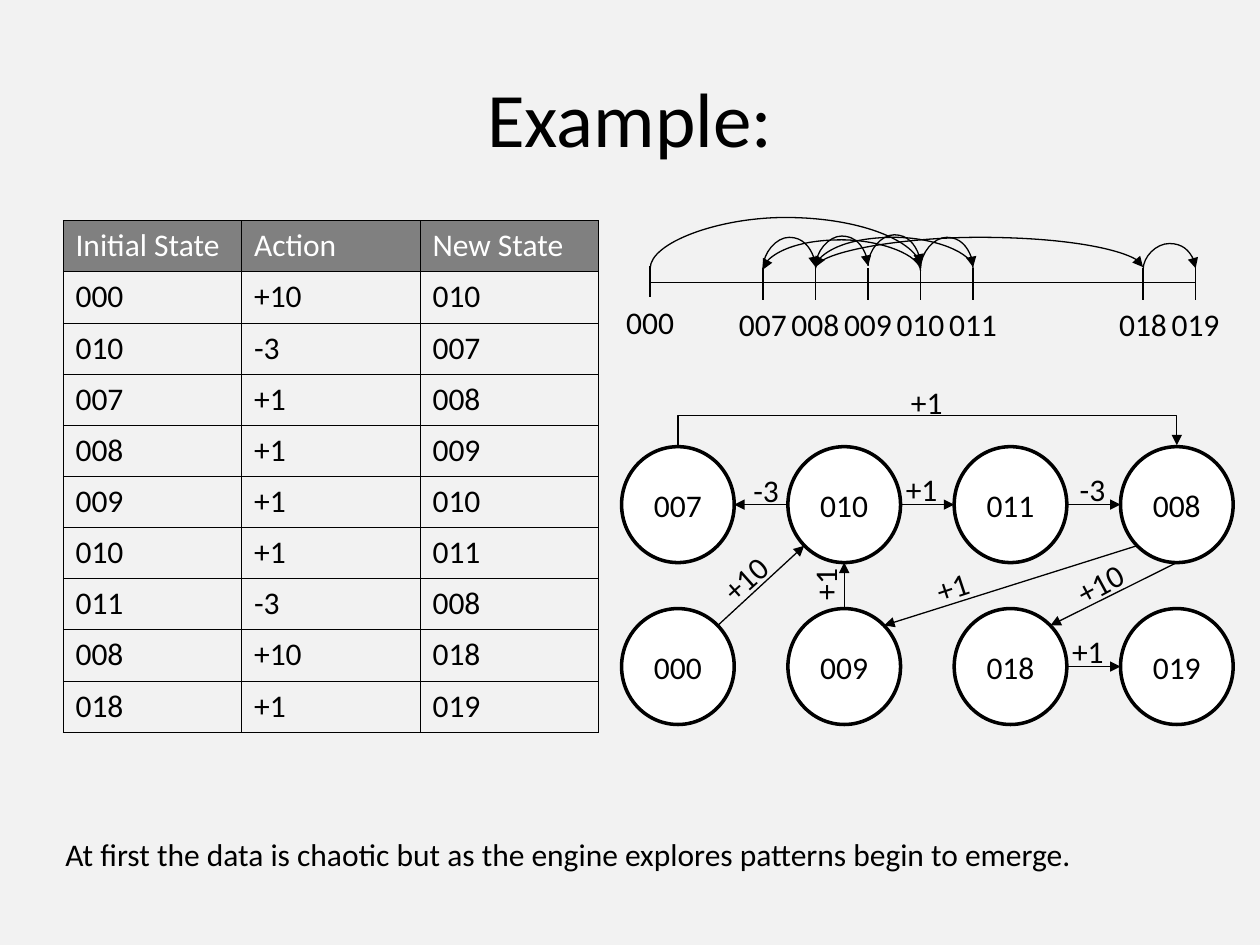
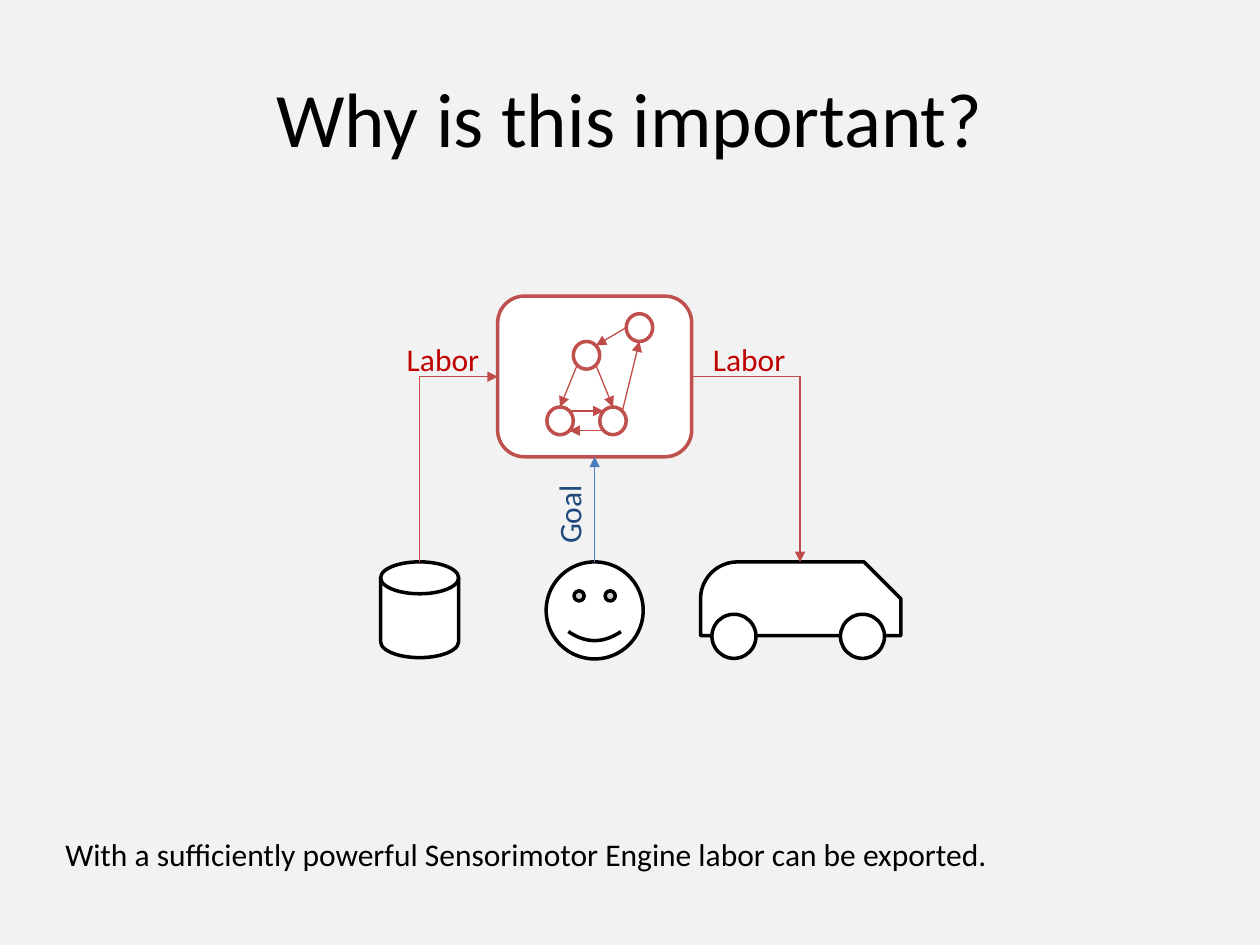
"""Build two slides on how a sensorimotor engine explores states."""
from dataclasses import dataclass
from typing import NamedTuple

from lxml.etree import SubElement
from pptx import Presentation
from pptx.dml.color import RGBColor
from pptx.enum.shapes import MSO_CONNECTOR as Link, MSO_SHAPE as Preset
from pptx.enum.text import MSO_ANCHOR as Anchor, PP_ALIGN as Align
from pptx.oxml.ns import qn
from pptx.shapes.autoshape import Shape
from pptx.shapes.connector import Connector
from pptx.slide import Slide
from pptx.table import _Cell as Cell
from pptx.text.text import TextFrame
from pptx.util import Emu, Inches, Pt

SLIDE_WIDTH, SLIDE_HEIGHT = Inches(10), Inches(7.5)
COLUMNS, ROWS = 100, 75
FONT = "Calibri"
COLORS = {
    "background": "F2F2F2", "ink": "000000", "paper": "FFFFFF", "header": "808080",
    "engine": "C0504D", "labor line": "BF4C48", "labor": "C00000",
    "goal line": "4B7EBC", "goal": "1F497D",
}
HALF_SQRT = 0.71
SIDES = {
    "N": (0, -1), "S": (0, 1), "E": (1, 0), "W": (-1, 0),
    "NE": (HALF_SQRT, -HALF_SQRT), "NW": (-HALF_SQRT, -HALF_SQRT),
    "SE": (HALF_SQRT, HALF_SQRT), "SW": (-HALF_SQRT, HALF_SQRT),
}
ARCH_DEPTH = 0.1


class Point(NamedTuple):
    """A place counted in grid columns and rows."""
    column: float
    row: float


class Box(NamedTuple):
    """An area counted in grid columns and rows."""
    left: float
    top: float
    width: float
    height: float

    def emu(self) -> tuple[Emu, Emu, Emu, Emu]:
        """Return the area as slide lengths."""
        return across(self.left), down(self.top), across(self.width), down(self.height)


class Step(NamedTuple):
    """One explored move, with the level and rise of its arc on the number line."""
    initial: str
    action: str
    new: str
    level: float = 21.3
    rise: float = 2.5


class Caption(NamedTuple):
    """A short text with its place and turn."""
    words: str
    place: Box
    turn: float = 0
    align: Align = Align.LEFT
    color: str = "ink"


@dataclass(frozen=True)
class Network:
    """Round nodes joined by arrows that run from side to side."""
    centres: dict[str, Point]
    radii: Point
    preset: Preset
    outline: str
    arrow_color: str
    arrows: tuple[tuple[str, str, str, str], ...]

    def site(self, node: str, side: str) -> Point:
        """Return the point on the rim of a node."""
        centre, (dx, dy) = self.centres[node], SIDES[side]
        return Point(centre.column + dx * self.radii.column, centre.row + dy * self.radii.row)


STEPS = (
    Step("000", "+10", "010", rise=4.1), Step("010", "-3", "007", level=21.5),
    Step("007", "+1", "008"), Step("008", "+1", "009", level=21.2),
    Step("009", "+1", "010", level=21.1), Step("010", "+1", "011"),
    Step("011", "-3", "008"), Step("008", "+10", "018"),
    Step("018", "+1", "019", level=21.4, rise=2.1),
)
NUMBER_LINE = {
    "000": 51.6,
    **{f"{7 + i:03}": 60.55 + 4.17 * i for i in range(5)},
    **{f"{18 + i:03}": 90.72 + 4.17 * i for i in range(2)},
}
STATE_ROWS = (("007", "010", "011", "008"), ("000", "009", "018", "019"))
STATES = Network(
    {state: Point(53.8 + 13.2 * c, 40.05 + 12.85 * r)
     for r, states in enumerate(STATE_ROWS) for c, state in enumerate(states)},
    Point(4.47, 4.6), Preset.OVAL, "ink", "ink",
    (("000", "NE", "010", "SW"), ("010", "W", "007", "E"), ("018", "E", "019", "W"),
     ("008", "SW", "009", "NE"), ("010", "E", "011", "W"), ("011", "E", "008", "W"),
     ("008", "S", "018", "NE"), ("009", "N", "010", "S")),
)
ACTIONS = tuple(
    Caption(words, Box(left, top, 6.1, 4), turn, align)
    for words, left, top, turn, align in (
        ("+10", 56.2, 43.8, 318.1, Align.LEFT), ("-3", 58.8, 36.9, 0, Align.LEFT),
        ("-3", 84.7, 36.8, 0, Align.LEFT), ("+1", 70.9, 36.8, 0, Align.LEFT),
        ("+1", 84.1, 49.7, 0, Align.LEFT), ("+1", 70.5, 29.9, 0, Align.CENTER),
        ("+1", 62.4, 43.6, 270, Align.LEFT), ("+1", 73.3, 44.3, 341.6, Align.LEFT),
        ("+10", 84.4, 44.2, 331.6, Align.LEFT),
    )
)
THOUGHTS = Network(
    {"top": Point(50.75, 26), "upper": Point(46.55, 28.2),
     "left": Point(44.45, 33.4), "right": Point(48.65, 33.4)},
    Point(1.05, 1.1), Preset.FLOWCHART_CONNECTOR, "engine", "labor line",
    (("upper", "SE", "right", "N"), ("upper", "SW", "left", "N"),
     ("left", "NE", "right", "NW"), ("right", "SW", "left", "SE"),
     ("right", "NE", "top", "S"), ("top", "W", "upper", "NE")),
)


def across(columns: float) -> Emu:
    """Turn grid columns into a length."""
    return Emu(round(SLIDE_WIDTH * columns / COLUMNS))


def down(rows: float) -> Emu:
    """Turn grid rows into a length."""
    return Emu(round(SLIDE_HEIGHT * rows / ROWS))


def rgb(name: str) -> RGBColor:
    """Look up a named colour."""
    return RGBColor.from_string(COLORS[name])


def write(frame: TextFrame, words: str, size: float = 18, color: str = "ink",
          align: Align = Align.LEFT) -> None:
    """Put one formatted run in the first paragraph."""
    paragraph = frame.paragraphs[0]
    paragraph.alignment = align
    run = paragraph.add_run()
    run.text = words
    run.font.name, run.font.size, run.font.bold = FONT, Pt(size), False
    run.font.color.rgb = rgb(color)


def add_caption(slide: Slide, caption: Caption) -> None:
    """Place a caption in a text box."""
    box = slide.shapes.add_textbox(*caption.place.emu())
    box.rotation = caption.turn
    box.text_frame.word_wrap = True
    write(box.text_frame, caption.words, color=caption.color, align=caption.align)


def add_figure(slide: Slide, preset: Preset, place: Box, outline: str = "ink",
               adjustments: tuple[float, ...] = ()) -> Shape:
    """Draw a white shape with a thick outline."""
    figure = slide.shapes.add_shape(preset, *place.emu())
    figure.shadow.inherit = False
    figure.fill.solid()
    figure.fill.fore_color.rgb = rgb("paper")
    figure.line.color.rgb = rgb(outline)
    figure.line.width = Pt(2)
    for index, value in enumerate(adjustments):
        figure.adjustments[index] = value
    return figure


def add_line(slide: Slide, start: Point, end: Point, color: str = "ink",
             arrow: bool = True, kind: Link = Link.STRAIGHT) -> Connector:
    """Draw a thin connector, by default with an arrowhead at its end."""
    line = slide.shapes.add_connector(
        kind, across(start.column), down(start.row), across(end.column), down(end.row))
    line.line.color.rgb = rgb(color)
    line.line.width = Pt(0.75)
    properties = line.element.spPr
    if arrow:
        SubElement(properties.find(qn("a:ln")), qn("a:tailEnd"), type="triangle")
    SubElement(properties, qn("a:effectLst"))
    return line


def add_turned(slide: Slide, start: Point, end: Point, depth: float, breadth: float,
               kind: Link, color: str = "ink") -> Connector:
    """Draw a connector that leaves its start upwards, by turning its frame."""
    rightward = end.column > start.column
    middle = Point((start.column + end.column) / 2, start.row - depth / 2)
    corner = Point(middle.column - depth / 2, middle.row - breadth / 2)
    opposite = Point(corner.column + depth, corner.row + breadth)
    line = add_line(slide, corner, opposite, color, kind=kind)
    frame = line.element.spPr.find(qn("a:xfrm"))
    frame.set("rot", str((90 if rightward else 270) * 60000))
    frame.set("flipV", "1")
    if rightward:
        frame.set("flipH", "1")
    return line


def add_arch(slide: Slide, start: Point, end: Point, rise: float, kind: Link) -> None:
    """Join two points on one level by a connector that rises above them."""
    breadth = abs(end.column - start.column)
    line = add_turned(slide, start, end, ARCH_DEPTH, breadth, kind)
    guides = line.element.spPr.find(qn("a:prstGeom")).find(qn("a:avLst"))
    bend = round(rise / ARCH_DEPTH * 100000)
    SubElement(guides, qn("a:gd"), name="adj1", fmla=f"val {bend}")


def use_corner(line: Connector) -> None:
    """Give an elbow connector a single corner."""
    line.element.spPr.find(qn("a:prstGeom")).set("prst", "bentConnector2")


def add_network(slide: Slide, network: Network, labelled: bool) -> None:
    """Draw the nodes of a network and the arrows between them."""
    rx, ry = network.radii
    for name, (x, y) in network.centres.items():
        node = add_figure(slide, network.preset, Box(x - rx, y - ry, 2 * rx, 2 * ry),
                          network.outline)
        if labelled:
            node.text_frame.vertical_anchor = Anchor.MIDDLE
            write(node.text_frame, name, align=Align.CENTER)
    for start, leaving, end, arriving in network.arrows:
        add_line(slide, network.site(start, leaving), network.site(end, arriving),
                 network.arrow_color)


def fill_cell(cell: Cell, words: str, header: bool) -> None:
    """Write one table cell with thin black borders."""
    write(cell.text_frame, words, color="paper" if header else "ink")
    properties = cell._tc.get_or_add_tcPr()
    for edge in ("a:lnL", "a:lnR", "a:lnT", "a:lnB"):
        border = SubElement(properties, qn(edge), w=str(Pt(0.25)))
        SubElement(SubElement(border, qn("a:solidFill")), qn("a:srgbClr"), val=COLORS["ink"])
    if header:
        cell.fill.solid()
        cell.fill.fore_color.rgb = rgb("header")
    else:
        cell.fill.background()


def add_history(slide: Slide) -> None:
    """Tabulate the explored steps."""
    rows = [("Initial State", "Action", "New State"), *(step[:3] for step in STEPS)]
    place = Box(5, 17.5, 42.5, 40.6)
    table = slide.shapes.add_table(len(rows), len(rows[0]), *place.emu()).table
    for r, row in enumerate(rows):
        for c, words in enumerate(row):
            fill_cell(table.cell(r, c), words, r == 0)


def add_number_line(slide: Slide) -> None:
    """Draw the states on a line, with an arc for every step."""
    add_line(slide, Point(NUMBER_LINE["000"], 22.4), Point(NUMBER_LINE["019"], 22.4),
             arrow=False)
    for state, x in NUMBER_LINE.items():
        top = 21.1 if state == "000" else 21.3
        add_line(slide, Point(x, top), Point(x, top + 2.5), arrow=False)
        add_caption(slide, Caption(state, Box(x - 3.35, top + 2.45, 6.7, 4),
                                   align=Align.CENTER))
    for step in STEPS:
        add_arch(slide, Point(NUMBER_LINE[step.initial], step.level),
                 Point(NUMBER_LINE[step.new], step.level), step.rise, Link.CURVE)


def add_titled_slide(deck: Presentation, title: str, remark: str) -> Slide:
    """Start a slide with its title and closing remark."""
    slide = deck.slides.add_slide(deck.slide_layouts.get_by_name("Title Only"))
    heading = slide.shapes.title
    heading.left, heading.top, heading.width, heading.height = Box(5, 3, 90, 12.5).emu()
    heading.text_frame.vertical_anchor = Anchor.MIDDLE
    write(heading.text_frame, title, size=44, align=Align.CENTER)
    add_caption(slide, Caption(remark, Box(4.2, 65.8, 91.7, 4)))
    return slide


def build_example(deck: Presentation) -> None:
    """Show the steps as a table, a number line and a network."""
    slide = add_titled_slide(
        deck, "Example:",
        "At first the data is chaotic but as the engine explores patterns begin to emerge.")
    add_history(slide)
    add_number_line(slide)
    add_network(slide, STATES, labelled=True)
    add_arch(slide, STATES.site("007", "N"), STATES.site("008", "N"), 2.5, Link.ELBOW)
    for action in ACTIONS:
        add_caption(slide, action)


def build_importance(deck: Presentation) -> None:
    """Show how the engine turns a goal into exported labor."""
    slide = add_titled_slide(
        deck, "Why is this important?",
        "With a sufficiently powerful Sensorimotor Engine labor can be exported.")
    add_figure(slide, Preset.FLOWCHART_MAGNETIC_DISK, Box(30.2, 44.6, 6.2, 7.6))
    person = add_figure(slide, Preset.SMILEY_FACE, Box(43.35, 44.6, 7.7, 7.7),
                        adjustments=(0.05,))
    add_figure(slide, Preset.SNIP_ROUND_RECTANGLE, Box(55.6, 44.6, 15.9, 5.85),
               adjustments=(0.5, 0.5))
    for wheel in (56.5, 66.7):
        add_figure(slide, Preset.OVAL, Box(wheel, 48.75, 3.5, 3.5))
    engine = add_figure(slide, Preset.ROUNDED_RECTANGLE, Box(39.5, 23.5, 15.4, 12.75), "engine")
    add_network(slide, THOUGHTS, labelled=False)
    use_corner(add_turned(slide, Point(33.3, 44.6), Point(39.5, 29.9), 14.7, 6.2,
                          Link.ELBOW, "labor line"))
    use_corner(add_line(slide, Point(54.9, 29.9), Point(63.5, 44.6), "labor line",
                        kind=Link.ELBOW))
    goal = add_line(slide, Point(47.2, 44.6), Point(47.2, 36.25), "goal line")
    goal.begin_connect(person, 0)
    goal.end_connect(engine, 2)
    for left in (31.3, 55.6):
        add_caption(slide, Caption("Labor", Box(left, 26.5, 8, 4), color="labor"))
    add_caption(slide, Caption("Goal", Box(41.7, 38.7, 6.9, 4), 270, color="goal"))


def main() -> None:
    """Build and save the deck."""
    deck = Presentation()
    deck.slide_width, deck.slide_height = SLIDE_WIDTH, SLIDE_HEIGHT
    backdrop = deck.slide_master.background.fill
    backdrop.solid()
    backdrop.fore_color.rgb = rgb("background")
    build_example(deck)
    build_importance(deck)
    deck.save("out.pptx")


if __name__ == "__main__":
    main()
